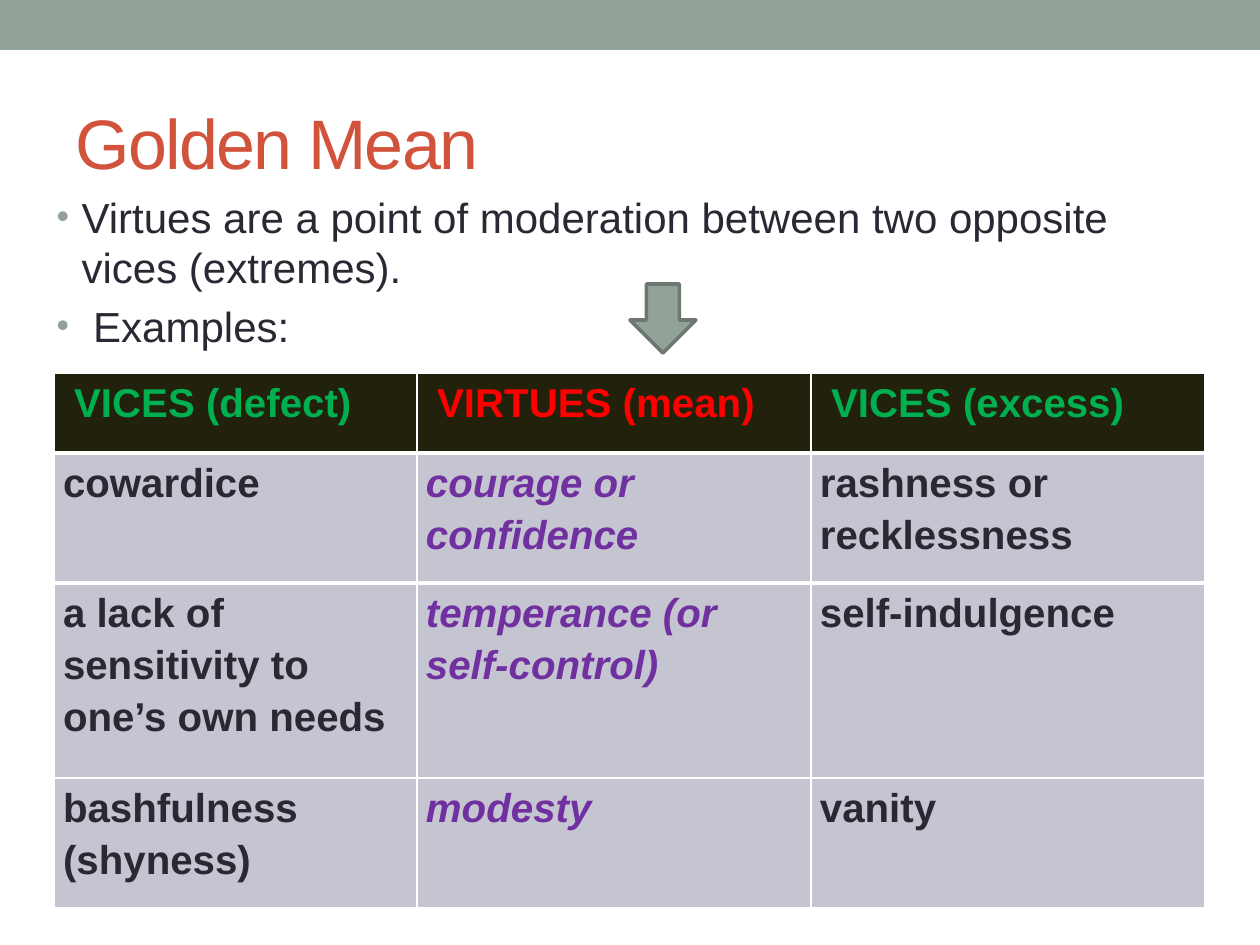
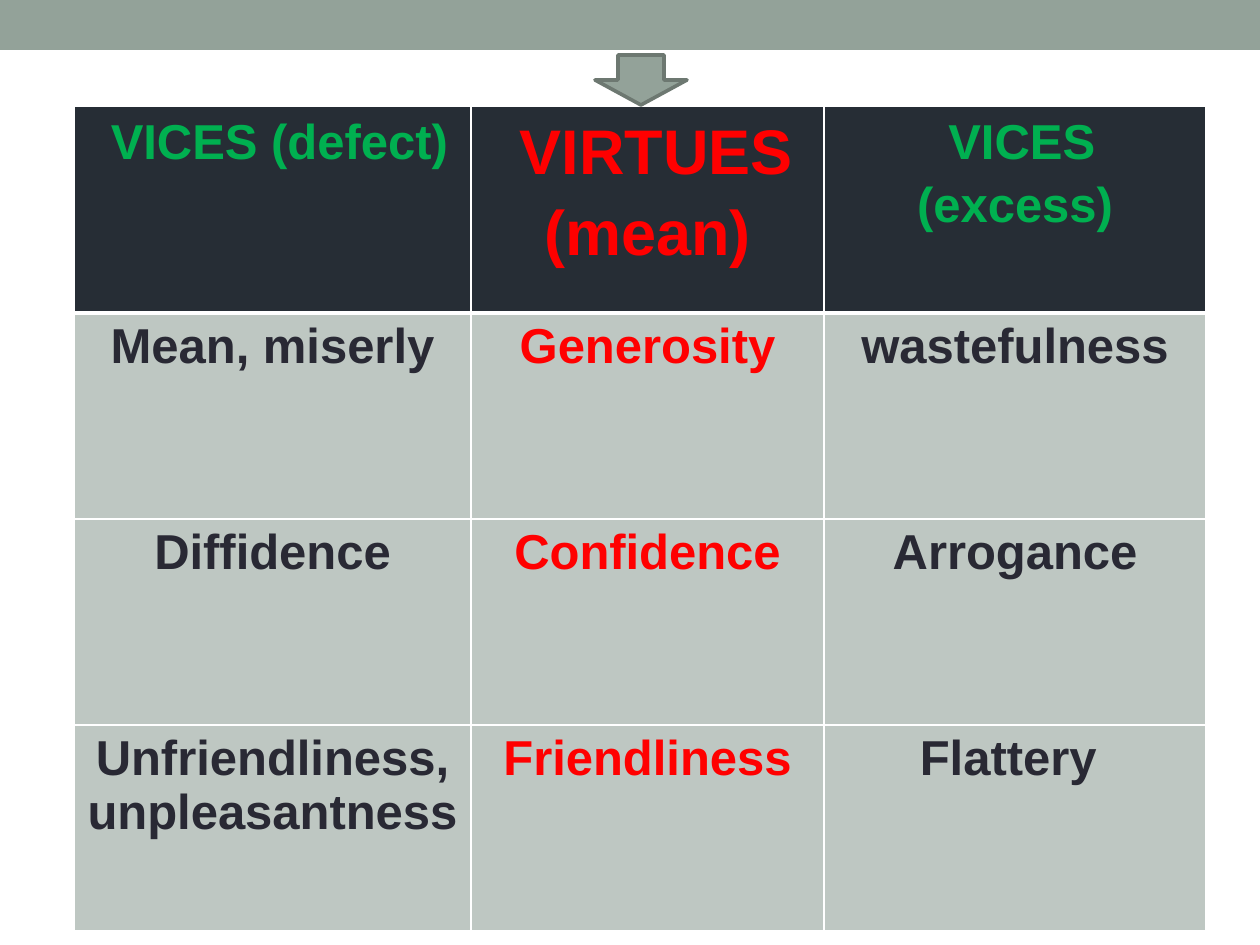
from lxml import etree
from pptx import Presentation
from pptx.dml.color import RGBColor
from pptx.enum.shapes import MSO_SHAPE
from pptx.enum.text import MSO_ANCHOR, MSO_AUTO_SIZE, PP_ALIGN
from pptx.oxml.ns import qn
from pptx.util import Pt

LEFT, CENTER = PP_ALIGN.LEFT, PP_ALIGN.CENTER
MIDDLE, NO_FIT = MSO_ANCHOR.MIDDLE, MSO_AUTO_SIZE.NONE
RECT, DOWN_ARROW = MSO_SHAPE.RECTANGLE, MSO_SHAPE.DOWN_ARROW

PX = 914400 / 126
FONT = "Arial"
SAGE, SAGE_DARK, RUST, INK = "93A299", "6D7871", "D2533C", "292934"
GREEN, RED, PURPLE, WHITE = "00B050", "FF0000", "7030A0", "FFFFFF"

TITLE = "Golden Mean"
BULLETS = [
    "Virtues are a point of moderation between two opposite vices (extremes).",
    " Examples:",
]
HEADER = [" VICES (defect)", " VIRTUES (mean)", " VICES (excess)"]
HEADER_COLORS = [GREEN, RED, GREEN]

TIGHT = dict(margin_left=9, margin_right=9, margin_top=1, margin_bottom=0)
ROOMY = dict(margin_left=12, margin_right=12, margin_top=6, margin_bottom=6)

EXAMPLES = dict(
    left=54, top=373, cols=[363, 394, 394], rows=[80, 130, 195, 130],
    rules=[1, 3, 3, 1, 1], fills=("22210C", "C5C5D1"), align=LEFT,
    header_sizes=[23, 23, 23], size=23, spacing=1.15, margins=TIGHT,
    virtue=dict(color=PURPLE, italic=True),
    body=[
        ["cowardice", "courage or confidence", "rashness or recklessness"],
        ["a lack of sensitivity to one’s own needs",
         "temperance (or self-control)", "self-indulgence"],
        ["bashfulness (shyness)", "modesty", "vanity"],
    ],
)
MORE_EXAMPLES = dict(
    left=74, top=106, cols=[397, 353, 382], rows=[207, 206, 206, 206],
    rules=[1, 3, 1, 1, 1], fills=("262D35", "BEC7C2"), align=CENTER,
    header_sizes=[28, 36, 28], size=28, spacing=1.0, margins=ROOMY,
    virtue=dict(color=RED),
    body=[
        ["Mean, miserly", "Generosity", "wastefulness"],
        ["Diffidence", "Confidence", "Arrogance"],
        ["Unfriendliness, unpleasantness", "Friendliness", "Flattery "],
    ],
)


def px(n):
    return round(n * PX)


def rgb(hex_color):
    return RGBColor.from_string(hex_color)


def set_attrs(obj, values):
    for name, value in values.items():
        setattr(obj, name, value)


def place(sp, left, top, width, height):
    set_attrs(sp, dict(left=px(left), top=px(top), width=px(width), height=px(height)))


def write(p, text, size, color, **font):
    r = p.add_run()
    r.text = text
    set_attrs(r.font, dict(name=FONT, size=Pt(size), **font))
    r.font.color.rgb = rgb(color)
    return r


def add_sage_shape(slide, kind, box, outline=None):
    sp = slide.shapes.add_shape(kind, *map(px, box))
    sp.shadow.inherit = False
    sp.fill.solid()
    sp.fill.fore_color.rgb = rgb(SAGE)
    if outline:
        sp.line.color.rgb = rgb(outline)
        sp.line.width = Pt(2.08)
    else:
        sp.line.fill.background()
    return sp


def set_borders(cell, top, bottom):
    tc_pr = cell._tc.get_or_add_tcPr()
    widths = dict(lnL=1, lnR=1, lnT=top, lnB=bottom)
    for i, (tag, width) in enumerate(widths.items()):
        ln = etree.Element(qn("a:" + tag), w=str(Pt(width)))
        fill = etree.SubElement(ln, qn("a:solidFill"))
        etree.SubElement(fill, qn("a:srgbClr"), val=WHITE)
        tc_pr.insert(i, ln)


def set_bullet(p):
    p_pr = p._p.get_or_add_pPr()
    p_pr.set("marL", str(px(25)))
    p_pr.set("indent", str(-px(25)))
    color = etree.SubElement(p_pr, qn("a:buClr"))
    etree.SubElement(color, qn("a:srgbClr"), val=SAGE)
    etree.SubElement(p_pr, qn("a:buSzPct"), val="85000")
    etree.SubElement(p_pr, qn("a:buFont"), typeface=FONT)
    etree.SubElement(p_pr, qn("a:buChar"), char="•")


def add_virtue_table(slide, t):
    cols, rows, rules = t["cols"], t["rows"], t["rules"]
    box = t["left"], t["top"], sum(cols), sum(rows)
    table = slide.shapes.add_table(len(rows), len(cols), *map(px, box)).table
    table.horz_banding = False
    for col, width in zip(table.columns, cols):
        col.width = px(width)
    for row, height in zip(table.rows, rows):
        row.height = px(height)
    for i, texts in enumerate([HEADER] + t["body"]):
        is_header = i == 0
        margins = TIGHT if is_header else t["margins"]
        for j, text in enumerate(texts):
            cell = table.cell(i, j)
            set_attrs(cell, {name: px(n) for name, n in margins.items()})
            cell.fill.solid()
            cell.fill.fore_color.rgb = rgb(t["fills"][0 if is_header else 1])
            set_borders(cell, rules[i], rules[i + 1])
            p = cell.text_frame.paragraphs[0]
            p.alignment = t["align"]
            p.line_spacing = 1.15 if is_header else t["spacing"]
            if is_header:
                style = dict(size=t["header_sizes"][j], color=HEADER_COLORS[j])
            else:
                style = dict(size=t["size"], color=INK)
                if j == 1:
                    style.update(t["virtue"])
            write(p, text, bold=True, **style)


def add_band_to_master(prs, slide):
    band = add_sage_shape(slide, RECT, (0, 0, 1260, 50))
    prs.slide_master.shapes[0].element.addprevious(band.element)


def add_title_and_bullets(slide):
    title, body = slide.placeholders
    place(title, 63, 73, 1134, 136)
    place(body, 44, 185, 1150, 745)
    for sp in (title, body):
        set_attrs(sp.text_frame, dict(word_wrap=True, auto_size=NO_FIT))
    title.text_frame.vertical_anchor = MIDDLE
    p = title.text_frame.paragraphs[0]
    p.alignment = LEFT
    r = write(p, TITLE, 40, RUST)
    r.font._element.set("spc", "-100")
    tf = body.text_frame
    for i, text in enumerate(BULLETS):
        p = tf.add_paragraph() if i else tf.paragraphs[0]
        p.space_before = Pt(4.8)
        set_bullet(p)
        write(p, text, 24, INK)


def main():
    prs = Presentation()
    prs.slide_width, prs.slide_height = px(1260), px(945)
    title_and_content, blank = prs.slide_layouts[1], prs.slide_layouts[6]

    slide = prs.slides.add_slide(title_and_content)
    add_band_to_master(prs, slide)
    add_title_and_bullets(slide)
    add_virtue_table(slide, EXAMPLES)
    add_sage_shape(slide, DOWN_ARROW, (630, 284, 66, 69), SAGE_DARK)

    slide = prs.slides.add_slide(blank)
    add_virtue_table(slide, MORE_EXAMPLES)
    add_sage_shape(slide, DOWN_ARROW, (595, 55, 92, 50), SAGE_DARK)

    prs.save("out.pptx")


if __name__ == "__main__":
    main()
